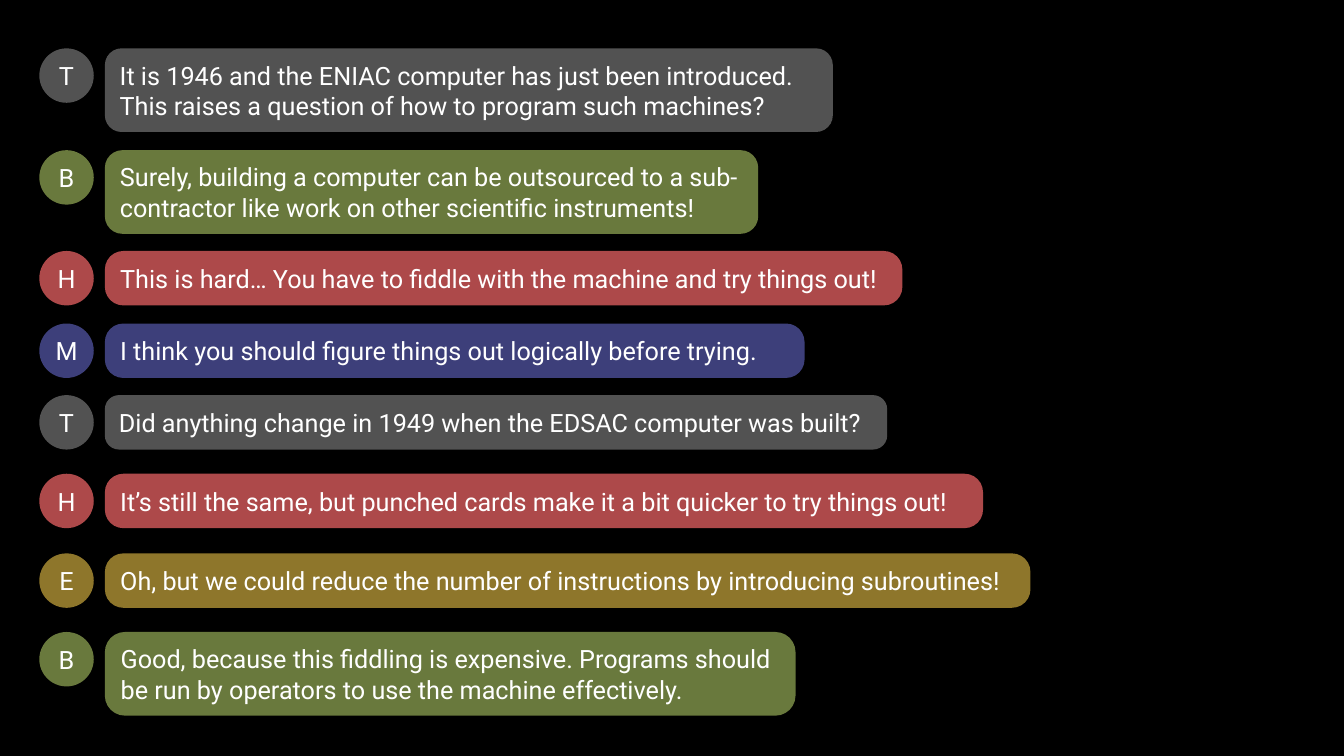
from pptx import Presentation
from pptx.dml.color import RGBColor
from pptx.enum.shapes import MSO_SHAPE
from pptx.enum.text import MSO_ANCHOR, PP_ALIGN
from pptx.util import Inches, Pt

COLORS = {
    "back": "000000",
    "text": "FFFFFF",
    "T": "525252",
    "B": "69793D",
    "H": "AD494A",
    "M": "3D3F7A",
    "E": "8E762B",
}
FONT = {"name": "Roboto", "size": Pt(18)}
LEFT, BADGE = 0.39, 0.54
INDENT = 1.04
HEIGHTS = {1: BADGE, 2: 0.83}

# Speaker, top, width, corner, text lines, wrapped line count
TALK = [
    ("T", 0.48, 7.22, 0.2, ["It is 1946 and the ENIAC computer has just been introduced.",
                            "This raises a question of how to program such machines?"], 2),
    ("B", 1.49, 6.48, 0.21, ["Surely, building a computer can be outsourced to a "
                             "sub-contractor like work on other scientific instruments!"], 2),
    ("H", 2.49, 7.91, 0.34, ["This is hard… You have to fiddle with the machine "
                             "and try things out!"], 1),
    ("M", 3.21, 6.94, 0.34, ["I think you should figure things out logically "
                             "before trying."], 1),
    ("T", 3.92, 7.76, 0.26, ["Did anything change in 1949 when the EDSAC computer "
                             "was built?"], 1),
    ("H", 4.7, 8.71, 0.34, ["It’s still the same, but punched cards make it a bit "
                            "quicker to try things out!"], 1),
    ("E", 5.49, 9.18, 0.34, ["Oh, but we could reduce the number of instructions by "
                             "introducing subroutines!"], 1),
    ("B", 6.27, 6.85, 0.24, ["Good, because this fiddling is expensive. Programs should",
                             "be run by operators to use the machine effectively."], 2),
]


class Chat:
    def __init__(self, slide):
        self.slide = slide
        fill = slide.background.fill
        fill.solid()
        fill.fore_color.rgb = self.color("back")

    def color(self, key):
        return RGBColor.from_string(COLORS[key])

    def shape(self, kind, box, who, lines, align):
        item = self.slide.shapes.add_shape(kind, *map(Inches, box))
        item.shadow.inherit = False
        item.fill.solid()
        item.fill.fore_color.rgb = self.color(who)
        item.line.fill.background()
        frame = item.text_frame
        frame.word_wrap = True
        frame.vertical_anchor = MSO_ANCHOR.MIDDLE
        para = frame.paragraphs[0]
        para.alignment = align
        for row, line in enumerate(lines):
            if row:
                para.add_line_break()
            run = para.add_run()
            run.text = line
            for key, value in FONT.items():
                setattr(run.font, key, value)
            run.font.color.rgb = self.color("text")
        return item

    def bubble(self, who, top, width, corner, lines, count):
        box = (INDENT, top, width, HEIGHTS[count])
        item = self.shape(MSO_SHAPE.ROUNDED_RECTANGLE, box, who, lines, PP_ALIGN.LEFT)
        item.adjustments[0] = corner

    def badge(self, who, top):
        box = (LEFT, top, BADGE, BADGE)
        item = self.shape(MSO_SHAPE.OVAL, box, who, [who], PP_ALIGN.CENTER)
        frame = item.text_frame
        frame.margin_left = frame.margin_right = 0


def main():
    deck = Presentation()
    deck.slide_width, deck.slide_height = Inches(13.33), Inches(7.5)
    chat = Chat(deck.slides.add_slide(deck.slide_layouts[6]))

    # Dialogue rows
    for who, top, width, corner, lines, count in TALK:
        chat.bubble(who, top, width, corner, lines, count)
        chat.badge(who, top)

    deck.save("out.pptx")


if __name__ == "__main__":
    main()
